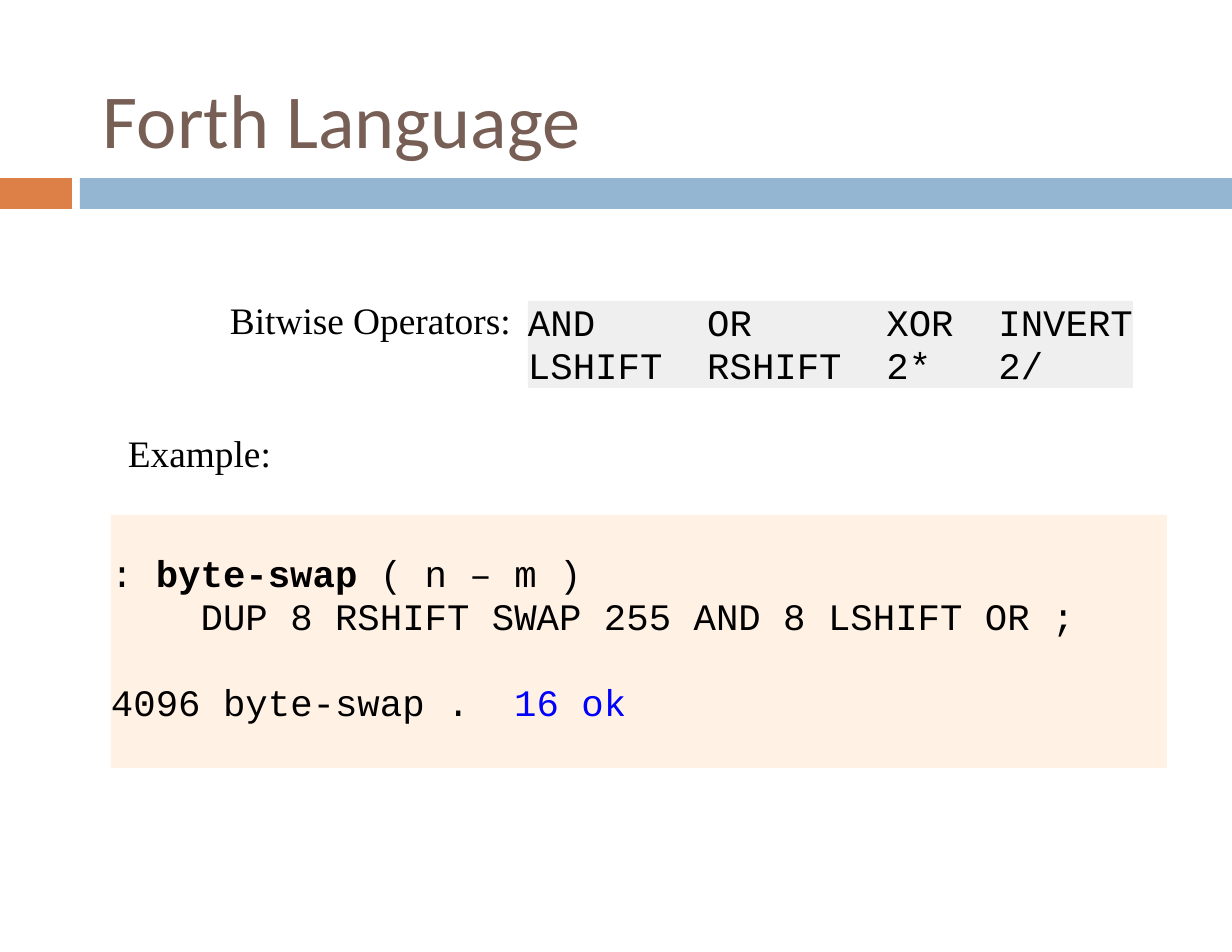
from lxml.etree import SubElement
from pptx import Presentation
from pptx.dml.color import RGBColor
from pptx.enum.shapes import MSO_SHAPE
from pptx.enum.text import MSO_ANCHOR, PP_ALIGN
from pptx.oxml.ns import qn
from pptx.util import Emu, Pt

PX = 914400 / 112
CODE = {"name": "Courier New", "size": Pt(24), "bold": False}
LABEL = {"name": "Times New Roman", "size": Pt(24)}
TITLE = {"name": "Calibri", "size": Pt(49)}
CODE_LINE = 43       # height of one line of code
CHAR_WIDTH = 22.4    # width of one code character


def px(length):
    return Emu(round(length * PX))


def color(hex_code):
    return RGBColor.from_string(hex_code)


def add_panel(slide, box, fill, alpha=None):
    panel = slide.shapes.add_shape(MSO_SHAPE.RECTANGLE, *map(px, box))
    panel.shadow.inherit = False
    panel.fill.solid()
    panel.fill.fore_color.rgb = color(fill)
    panel.line.fill.background()
    if alpha is not None:
        fill_color = panel.fill._xPr.find(qn("a:solidFill"))[0]
        SubElement(fill_color, qn("a:alpha"), val=str(alpha * 1000))
    return panel


def set_frame(shape, **values):
    frame = shape.text_frame
    settings = {"margin_left": 0, "margin_right": 0, "margin_top": 0,
                "margin_bottom": 0, "word_wrap": True,
                "vertical_anchor": MSO_ANCHOR.TOP} | values
    for key, value in settings.items():
        setattr(frame, key, value)
    return frame


def add_run(paragraph, text, style, hex_code="000000"):
    run = paragraph.add_run()
    run.text = text
    for key, value in style.items():
        setattr(run.font, key, value)
    run.font.color.rgb = color(hex_code)


def add_tabs(paragraph, columns):
    tabs = SubElement(paragraph._p.get_or_add_pPr(), qn("a:tabLst"))
    for column in columns:
        SubElement(tabs, qn("a:tab"), pos=str(px(column * CHAR_WIDTH)), algn="l")


def write_code(frame, lines, columns):
    """Each line is (blank lines before, [(text, bold, color), ...])."""
    for index, (blank_lines, parts) in enumerate(lines):
        line = frame.add_paragraph() if index else frame.paragraphs[0]
        add_tabs(line, columns)
        line.alignment = PP_ALIGN.LEFT
        line.line_spacing = px(CODE_LINE)
        if blank_lines:
            line.space_before = px(blank_lines * CODE_LINE)
        for text, bold, hex_code in parts:
            add_run(line, text, CODE | {"bold": bold}, hex_code)


def add_label(slide, box, text, style=LABEL, hex_code="000000", spacing=0.95,
              **frame_values):
    label = slide.shapes.add_textbox(*map(px, box))
    frame = set_frame(label, **frame_values)
    frame.paragraphs[0].line_spacing = spacing
    add_run(frame.paragraphs[0], text, style, hex_code)


def add_header(slide, box):
    left, top, width, height = box
    # Two-part bar along the bottom of the header
    bar_height, marker, gap = 31, 72, 8
    bar_top = top + height - bar_height
    add_panel(slide, (left, bar_top, marker, bar_height), "DD8047")
    bar_left = left + marker + gap
    add_panel(slide, (bar_left, bar_top, left + width - bar_left, bar_height), "94B6D2")
    # Title
    add_label(slide, (left + 91, top + 38, 1052, 160), "Forth Language", TITLE, "775F55",
              spacing=1.0, vertical_anchor=MSO_ANCHOR.MIDDLE,
              margin_left=px(12), margin_right=px(12))


def add_operators(slide, box):
    left, top, width, height = box
    label_width, table_left = 294, 298
    add_label(slide, (left, top, label_width, 44), "Bitwise Operators:")
    table = add_panel(slide, (left + table_left, top, width - table_left, height),
                      "C0C0C0", 25)
    rows = [("AND", "OR", "XOR", "INVERT"), ("LSHIFT", "RSHIFT", "2*", "2/")]
    lines = [(0, [("\t".join(row), False, "000000")]) for row in rows]
    write_code(set_frame(table, word_wrap=False), lines, (8, 16, 21))


def add_example(slide, box):
    left, top, width, height = box
    code_top = 82
    add_label(slide, (left + 17, top, 180, 44), "Example:")
    panel = add_panel(slide, (left, top + code_top, width, height - code_top), "FFCC99", 25)
    black, blue = "000000", "0000FF"
    lines = [
        (0, [(": ", False, black), ("byte-swap", True, black), (" ( n – m )", False, black)]),
        (0, [("    DUP 8 RSHIFT SWAP 255 AND 8 LSHIFT OR ;", False, black)]),
        (1, [("4096 byte-swap .\t", False, black), ("16 ok", False, blue)]),
    ]
    write_code(set_frame(panel, margin_top=px(37)), lines, (18,))


def main():
    deck = Presentation()
    deck.slide_width, deck.slide_height = px(1232), px(952)
    slide = deck.slides.add_slide(deck.slide_layouts[6])
    add_header(slide, (0, 0, 1232, 209))
    add_operators(slide, (230, 301, 903, 87))
    add_example(slide, (111, 433, 1056, 335))
    deck.save("out.pptx")


if __name__ == "__main__":
    main()
